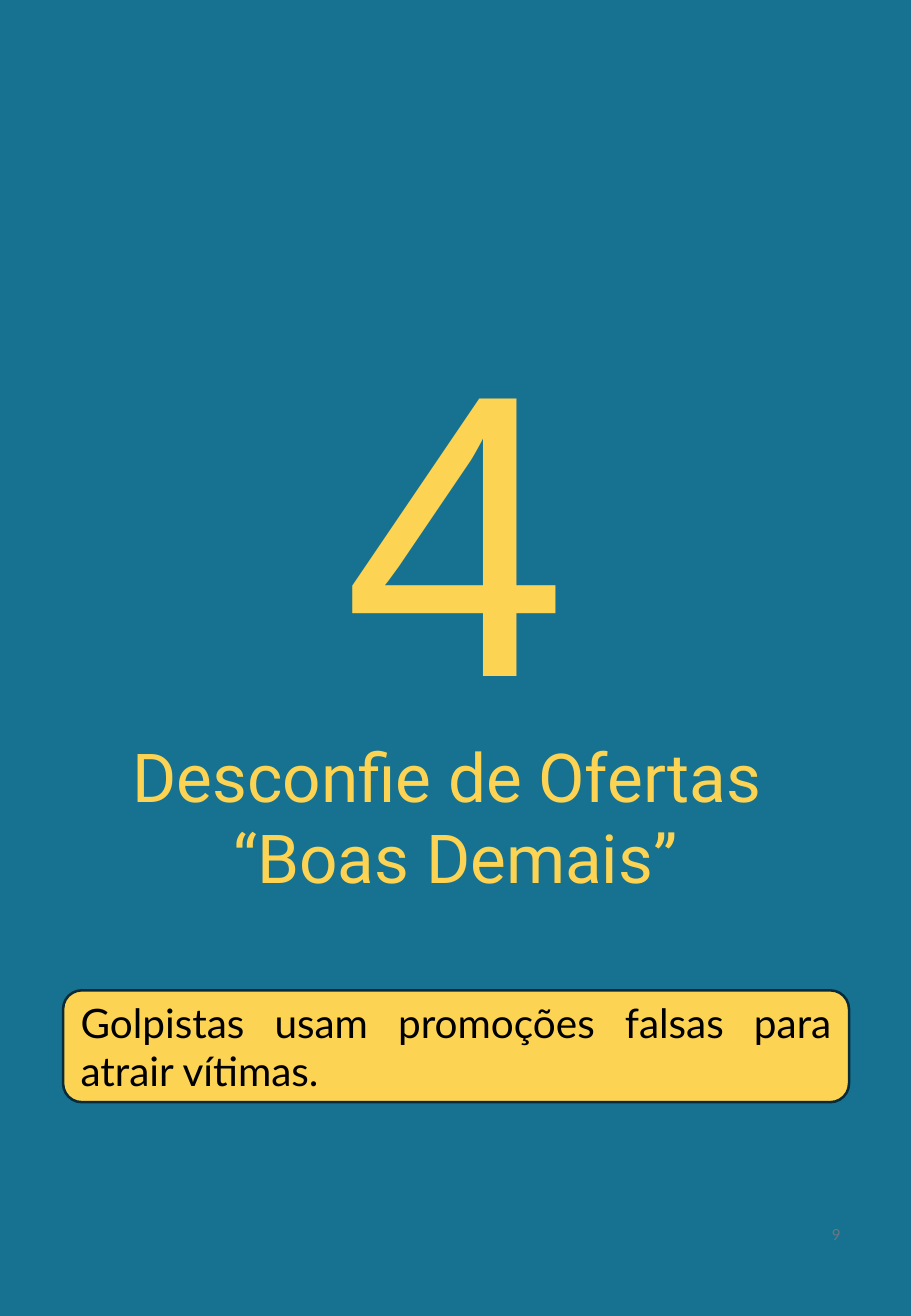
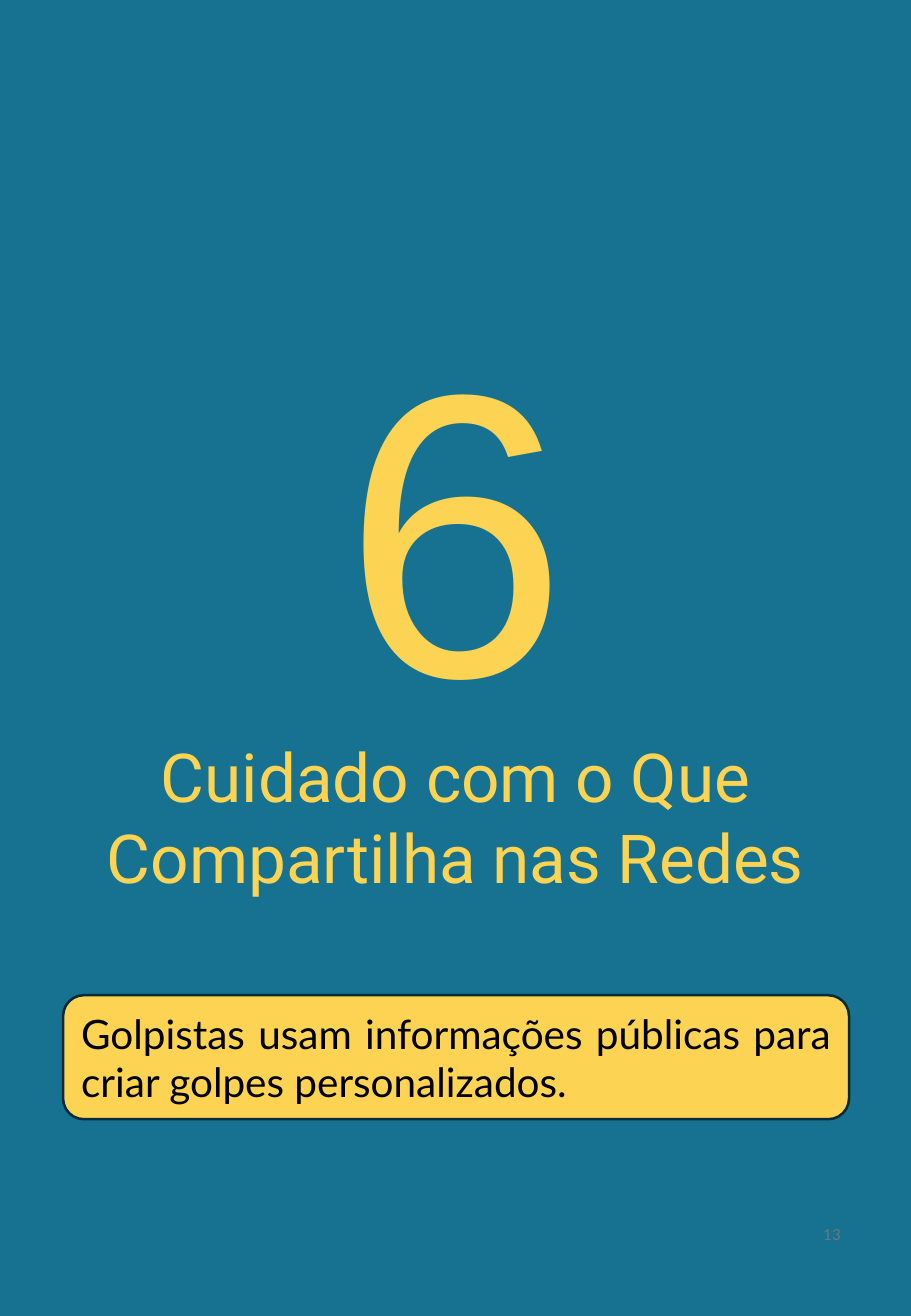
from dataclasses import dataclass

from pptx import Presentation
from pptx.dml.color import RGBColor
from pptx.enum.shapes import MSO_SHAPE
from pptx.enum.text import MSO_ANCHOR, PP_ALIGN
from pptx.slide import Slide
from pptx.text.text import TextFrame
from pptx.util import Inches, Pt

WIDTH, HEIGHT = 7.5, 10.83
BLUE, YELLOW, NAVY, BLACK, GREY = "167290", "FCD352", "092A39", "000000", "6B7780"


@dataclass
class Box:
    left: float
    top: float
    width: float
    height: float

    def emu(self) -> list[int]:
        return [Inches(n) for n in (self.left, self.top, self.width, self.height)]


@dataclass
class Style:
    font: str
    size: float
    color: str
    align: PP_ALIGN
    anchor: MSO_ANCHOR = MSO_ANCHOR.TOP


@dataclass
class Chapter:
    number: str
    title: list[str]
    note: str
    note_top: float
    note_height: float
    page: str


DIGIT = Style("Arial", 239, YELLOW, PP_ALIGN.CENTER)
TITLE = Style("Roboto", 40, YELLOW, PP_ALIGN.CENTER)
NOTE = Style("Lato", 24, BLACK, PP_ALIGN.JUSTIFY, MSO_ANCHOR.MIDDLE)
PAGE = Style("Lato", 9, GREY, PP_ALIGN.RIGHT, MSO_ANCHOR.MIDDLE)

CHAPTERS = [
    Chapter("4", ["Desconfie de Ofertas ", "“Boas Demais”"],
            "Golpistas usam promoções falsas para atrair vítimas.",
            8.15, 0.92, "9"),
    Chapter("6", ["Cuidado com o Que Compartilha nas Redes"],
            "Golpistas usam informações públicas para criar golpes personalizados.",
            8.19, 1.02, "13"),
]


def rgb(color: str) -> RGBColor:
    return RGBColor.from_string(color)


def write(frame: TextFrame, lines: list[str], style: Style) -> None:
    frame.word_wrap = True
    frame.vertical_anchor = style.anchor
    frame.text = "\n".join(lines)
    for par in frame.paragraphs:
        par.alignment = style.align
        par.font.name = style.font
        par.font.size = Pt(style.size)
        par.font.color.rgb = rgb(style.color)


def add_text(slide: Slide, box: Box, lines: list[str], style: Style) -> None:
    write(slide.shapes.add_textbox(*box.emu()).text_frame, lines, style)


def add_note(slide: Slide, box: Box, text: str) -> None:
    note = slide.shapes.add_shape(MSO_SHAPE.ROUNDED_RECTANGLE, *box.emu())
    note.shadow.inherit = False
    note.fill.solid()
    note.fill.fore_color.rgb = rgb(YELLOW)
    note.line.color.rgb = rgb(NAVY)
    note.line.width = Pt(1.5)
    write(note.text_frame, [text], NOTE)


def add_back(slide: Slide) -> None:
    back = slide.shapes.add_shape(MSO_SHAPE.RECTANGLE, *Box(0, 0, WIDTH, HEIGHT).emu())
    back.shadow.inherit = False
    back.fill.solid()
    back.fill.fore_color.rgb = rgb(BLUE)
    back.line.fill.background()


def add_chapter(slide: Slide, item: Chapter) -> None:
    add_back(slide)
    add_text(slide, Box(1.58, 2.2, 4.34, 4.12), [item.number], DIGIT)
    add_text(slide, Box(0, 6, WIDTH, 2.12), item.title, TITLE)
    add_note(slide, Box(0.52, item.note_top, 6.47, item.note_height), item.note)
    add_text(slide, Box(5.33, 9.87, 1.69, 0.58), [item.page], PAGE)


def main() -> None:
    deck = Presentation()
    deck.slide_width, deck.slide_height = Inches(WIDTH), Inches(HEIGHT)
    for item in CHAPTERS:
        add_chapter(deck.slides.add_slide(deck.slide_layouts[6]), item)
    deck.save("out.pptx")


if __name__ == "__main__":
    main()
